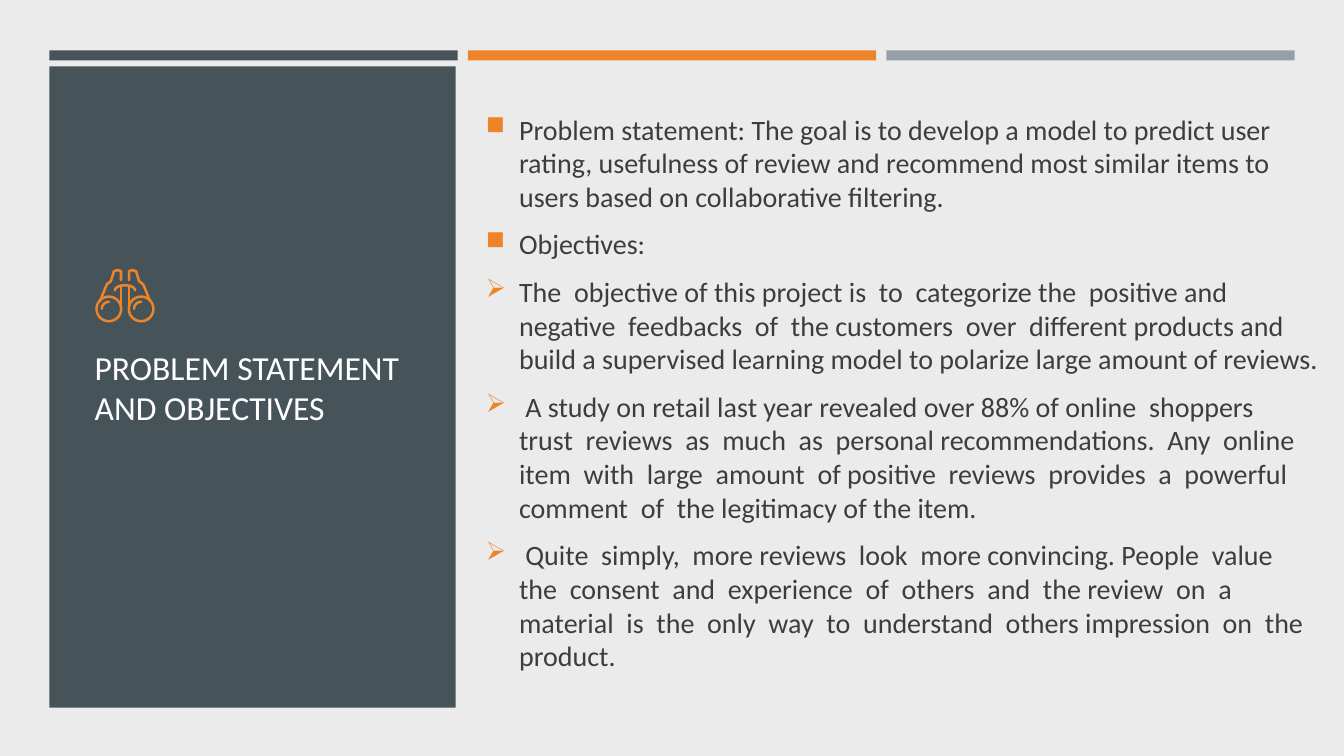
from math import cos, pi, sin

from lxml.etree import SubElement
from pptx import Presentation
from pptx.dml.color import RGBColor
from pptx.enum.shapes import MSO_SHAPE as Shape
from pptx.enum.text import MSO_ANCHOR as Anchor
from pptx.oxml.ns import qn
from pptx.util import Inches, Pt

SLATE = RGBColor(0x46, 0x53, 0x59)
ORANGE = RGBColor(0xED, 0x84, 0x28)
GREY = RGBColor(0x96, 0x9F, 0xA7)
PALE = RGBColor(0xEB, 0xEB, 0xEB)
INK = RGBColor(0x3D, 0x3D, 0x3D)
WHITE = RGBColor(0xFF, 0xFF, 0xFF)

LEFT, COLUMN, GAP = 0.49, 4.05, 0.1
STROKE = 0.025

deck = Presentation()
deck.slide_width, deck.slide_height = Inches(13.33), Inches(7.5)
page = deck.slides.add_slide(deck.slide_layouts[6])
page.background.fill.solid()
page.background.fill.fore_color.rgb = PALE


def add_solid(kind, left, top, width, height, color):
    shape = page.shapes.add_shape(
        kind, Inches(left), Inches(top), Inches(width), Inches(height))
    shape.shadow.inherit = False
    shape.fill.solid()
    shape.fill.fore_color.rgb = color
    shape.line.fill.background()
    return shape


def add_text_frame(left, top, width, height):
    box = page.shapes.add_textbox(
        Inches(left), Inches(top), Inches(width), Inches(height))
    box.text_frame.word_wrap = True
    box.text_frame.vertical_anchor = Anchor.MIDDLE
    return box.text_frame


# Top bars, one per column, and the title panel
for column, color in enumerate((SLATE, ORANGE, GREY)):
    add_solid(Shape.RECTANGLE, LEFT + column * (COLUMN + GAP), 0.5, COLUMN, 0.1, color)
add_solid(Shape.RECTANGLE, LEFT, 0.66, 4.03, 6.36, SLATE)

# Body text
body = [
    ("■", "Problem statement: The goal is to develop a model to predict user rating, "
          "usefulness of review and recommend most similar items to users based on "
          "collaborative filtering."),
    ("■", "Objectives:"),
    ("➢", "The  objective of this project is  to  categorize the  positive and negative  "
          "feedbacks  of  the customers  over  different products and build a supervised "
          "learning model to polarize large amount of reviews."),
    ("➢", " A study on retail last year revealed over 88% of online  shoppers  trust  "
          "reviews  as  much  as  personal recommendations.  Any  online  item  with  "
          "large  amount  of positive  reviews  provides  a  powerful  comment  of  the "
          "legitimacy of the item."),
    ("➢", " Quite  simply,  more reviews  look  more convincing. People  value  the  "
          "consent  and  experience  of  others  and  the review  on  a  material  is  "
          "the  only  way  to  understand  others impression  on  the  product."),
]
frame = add_text_frame(4.72, 0.67, 8.46, 6.44)
for number, (bullet, text) in enumerate(body):
    para = frame.add_paragraph() if number else frame.paragraphs[0]
    para.text = text
    properties = para._p.get_or_add_pPr()
    properties.set("marL", str(Inches(0.33)))
    properties.set("indent", str(-Inches(0.33)))
    bullet_color = SubElement(properties, qn("a:buClr"))
    SubElement(bullet_color, qn("a:srgbClr"), val=str(ORANGE))
    SubElement(properties, qn("a:buSzPct"), val="92000")
    SubElement(properties, qn("a:buChar"), char=bullet)
    para.space_before = Pt(4 if number else 0)
    para.space_after = Pt(6)
    para.font.name, para.font.size = "Calibri", Pt(20)
    para.font.color.rgb = INK

# Title
title = add_text_frame(0.84, 2.9, 3.32, 1.88).paragraphs[0]
title.text = "PROBLEM STATEMENT AND OBJECTIVES"
title.font.name, title.font.size = "Calibri", Pt(24)
title.font.color.rgb = WHITE

# Binoculars: two mirrored halves about a middle axis, then the bridge
AXIS, LENS_X, LENS_Y, LENS = 1.24, 1.08, 3.065, 0.27
tube = [(0.99, 2.99), (1.06, 2.82), (1.1, 2.79), (1.13, 2.69),
        (1.17, 2.68), (1.2, 2.69), (1.2, 2.78)]
post = [(1.2, 2.84), (1.2, 3.07)]
glint = [(0.07 * cos(pi + step * pi / 16), 0.07 * sin(pi + step * pi / 16))
         for step in range(9)]
bridge = [(AXIS + 0.1 * cos(pi + step * pi / 16), 2.88 + 0.05 * sin(pi + step * pi / 16))
          for step in range(17)]

strokes = [bridge]
for side in (1, -1):
    center = AXIS + side * (LENS_X - AXIS)
    lens = add_solid(Shape.DONUT, center - LENS / 2, LENS_Y - LENS / 2, LENS, LENS, ORANGE)
    lens.adjustments[0] = STROKE / LENS
    strokes += [[(AXIS + side * (x - AXIS), y) for x, y in half] for half in (tube, post)]
    strokes.append([(center + x, LENS_Y + y) for x, y in glint])

for stroke in strokes:
    points = [(Inches(x), Inches(y)) for x, y in stroke]
    builder = page.shapes.build_freeform(*points[0])
    builder.add_line_segments(points[1:], close=False)
    outline = builder.convert_to_shape()
    outline.shadow.inherit = False
    outline.fill.background()
    outline.line.color.rgb = ORANGE
    outline.line.width = Inches(STROKE)
    outline.line._get_or_add_ln().set("cap", "rnd")

deck.save("out.pptx")
